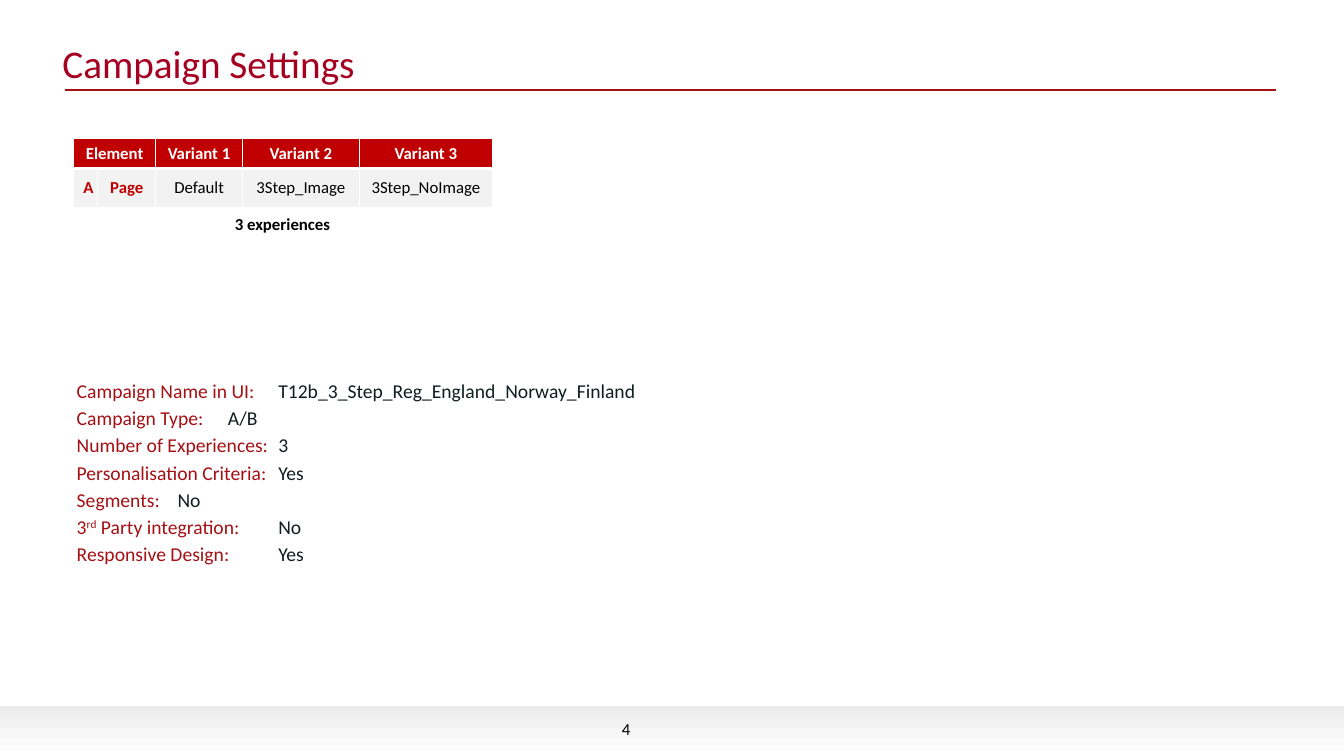
from dataclasses import dataclass

import pptx
import pptx.dml.color
import pptx.enum.shapes
import pptx.enum.text
import pptx.oxml
import pptx.oxml.ns
import pptx.util
from pptx.util import Cm

FONT = "Calibri"
RED, DARK_RED, TITLE_RED = "C00000", "A41014", "A50021"
INK, BLACK, WHITE, PALE = "0E1E20", "000000", "FFFFFF", "F2F2F2"
ALIGN = pptx.enum.text.PP_ALIGN
MIDDLE = pptx.enum.text.MSO_ANCHOR.MIDDLE
NS = pptx.oxml.ns.nsdecls("a")


@dataclass
class Setting:
    label: str
    value: str
    ordinal: str = ""  # superscript after the first character of the label


@dataclass
class Cell:
    text: str
    color: str
    fill: str
    bold: bool = True


SETTINGS = [
    Setting("Campaign Name in UI:", "T12b_3_Step_Reg_England_Norway_Finland"),
    Setting("Campaign Type:", "A/B"),
    Setting("Number of Experiences:", "3"),
    Setting("Personalisation Criteria:", "Yes"),
    Setting("Segments:", "No"),
    Setting("3 Party integration:", "No", ordinal="rd"),
    Setting("Responsive Design:", "Yes"),
]
HEADERS = ["Element", "", "Variant 1", "Variant 2", "Variant 3"]
VARIANTS = ["Default", "3Step_Image", "3Step_NoImage"]
ROWS = [
    [Cell(text, WHITE, RED) for text in HEADERS],
    [Cell(text, RED, PALE) for text in ("A", "Page")]
    + [Cell(text, BLACK, PALE, bold=False) for text in VARIANTS],
]
COL_WIDTHS = [0.58, 1.47, 2.18, 2.95, 3.35]
ROW_HEIGHTS = [0.76, 0.99]


def rgb(color: str) -> pptx.dml.color.RGBColor:
    return pptx.dml.color.RGBColor.from_string(color)


def add_run(p, text: str, size: float, color: str, bold: bool = False):
    r = p.add_run()
    r.text = text
    r.font.name, r.font.size, r.font.bold = FONT, pptx.util.Pt(size), bold
    r.font.color.rgb = rgb(color)
    return r


def place(sp, left: float, top: float, width: float, height: float) -> None:
    """Move and size a shape, in centimetres."""
    sp.left, sp.top, sp.width, sp.height = map(Cm, (left, top, width, height))


def add_label(s, text: str, box: tuple, align, bold: bool = False) -> None:
    tf = s.shapes.add_textbox(*map(Cm, box)).text_frame
    tf.word_wrap = True
    p = tf.paragraphs[0]
    p.alignment = align
    add_run(p, text, 12, BLACK, bold)


def add_title(s) -> None:
    sp = s.shapes.title
    place(sp, 1.32, 0.84, 30.48, 1.5)
    tf = sp.text_frame
    tf.vertical_anchor = MIDDLE
    tf.auto_size = pptx.enum.text.MSO_AUTO_SIZE.NONE
    p = tf.paragraphs[0]
    p.alignment = ALIGN.LEFT
    add_run(p, "Campaign Settings", 28, TITLE_RED)


def add_rule(s) -> None:
    line = s.shapes.add_connector(
        pptx.enum.shapes.MSO_CONNECTOR.STRAIGHT, Cm(1.65), Cm(2.26), Cm(32.16), Cm(2.26))
    line.line.color.rgb = rgb(DARK_RED)
    line.line.width = pptx.util.Pt(1.25)
    line._element.spPr.append(pptx.oxml.parse_xml(f"<a:effectLst {NS}/>"))


def add_footer_band(s, width: int) -> None:
    sp = s.shapes.add_shape(
        pptx.enum.shapes.MSO_SHAPE.RECTANGLE, 0, Cm(17.78), width, Cm(1.27))
    sp.shadow.inherit = False
    sp.line.fill.background()
    sp.fill.gradient()
    sp.fill.gradient_angle = 270
    for stop, position, color in zip(sp.fill.gradient_stops, (0, 1), ("ECECEC", WHITE)):
        stop.position = position
        stop.color.rgb = rgb(color)


def add_settings(s) -> None:
    sp = s.placeholders[1]
    place(sp, 1.68, 9.42, 18.24, 5.16)
    tf = sp.text_frame
    tf.auto_size = pptx.enum.text.MSO_AUTO_SIZE.NONE
    for i, setting in enumerate(SETTINGS):
        p = tf.add_paragraph() if i else tf.paragraphs[0]
        pPr = p._p.get_or_add_pPr()
        pPr.set("marL", "0")
        pPr.set("indent", "0")
        pPr.append(pptx.oxml.parse_xml(f"<a:buNone {NS}/>"))
        pPr.append(pptx.oxml.parse_xml(
            f'<a:tabLst {NS}><a:tab pos="{Cm(7.6)}" algn="l"/></a:tabLst>'))
        p.space_before = pptx.util.Pt(2.6 if i else 0)
        label = setting.label
        if setting.ordinal:
            add_run(p, label[0], 14, DARK_RED)
            r = add_run(p, setting.ordinal, 14, DARK_RED)
            r._r.get_or_add_rPr().set("baseline", "30000")
            label = label[1:]
        add_run(p, label + "\t", 14, DARK_RED)
        add_run(p, setting.value, 14, INK)


def set_borders(cell, top: float, bottom: float) -> None:
    """Draw white borders, one point wide at the sides."""
    tcPr = cell._tc.get_or_add_tcPr()
    for i, (side, width) in enumerate(zip("LRTB", (1, 1, top, bottom))):
        tcPr.insert(i, pptx.oxml.parse_xml(
            f'<a:ln{side} {NS} w="{pptx.util.Pt(width)}"><a:solidFill>'
            f'<a:srgbClr val="{WHITE}"/></a:solidFill></a:ln{side}>'))


def add_variants(s) -> None:
    table = s.shapes.add_table(
        len(ROWS), len(COL_WIDTHS), Cm(1.85), Cm(3.48),
        Cm(sum(COL_WIDTHS)), Cm(sum(ROW_HEIGHTS))).table
    table.horz_banding = False
    for column, width in zip(table.columns, COL_WIDTHS):
        column.width = Cm(width)
    for row, height in zip(table.rows, ROW_HEIGHTS):
        row.height = Cm(height)
    for i, row in enumerate(ROWS):
        for j, spec_cell in enumerate(row):
            cell = table.cell(i, j)
            cell.vertical_anchor = MIDDLE
            cell.fill.solid()
            cell.fill.fore_color.rgb = rgb(spec_cell.fill)
            set_borders(cell, *((3, 1) if i else (1, 3)))
            if spec_cell.text:
                p = cell.text_frame.paragraphs[0]
                p.alignment = ALIGN.CENTER
                add_run(p, spec_cell.text, 12, spec_cell.color, spec_cell.bold)
    table.cell(0, 0).merge(table.cell(0, 1))


def main() -> None:
    prs = pptx.Presentation()
    prs.slide_width, prs.slide_height = Cm(33.87), Cm(19.05)
    s = prs.slides.add_slide(prs.slide_layouts[1])
    add_rule(s)
    add_footer_band(s, prs.slide_width)
    add_label(s, "4", (15.42, 17.98, 1.42, 0.81), ALIGN.LEFT)
    add_title(s)
    add_settings(s)
    add_variants(s)
    add_label(s, "3 experiences", (1.85, 5.26, 10.54, 0.76), ALIGN.CENTER, bold=True)
    prs.save("out.pptx")


if __name__ == "__main__":
    main()
